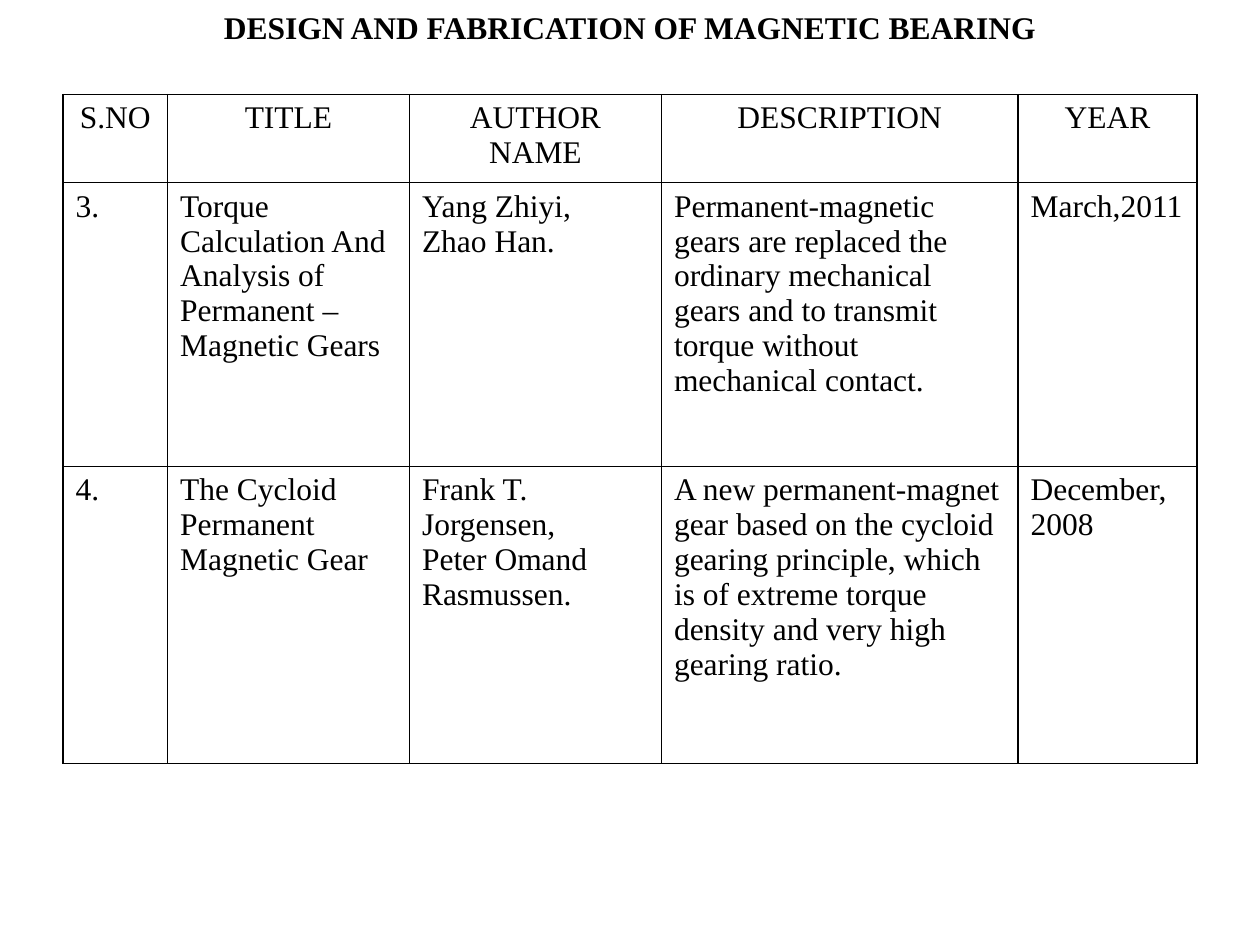
"""Build a literature table slide on magnetic bearings."""
import dataclasses
import typing

import pptx
import pptx.dml.color
import pptx.enum.text
import pptx.oxml
import pptx.oxml.ns
import pptx.util
from pptx.util import Inches

HUES = {"ink": "000000", "page": "FFFFFF"}
FONT = "Times New Roman"
SIZE = 18
ALIGN = pptx.enum.text.PP_ALIGN


@dataclasses.dataclass
class Row:
    height: float
    texts: tuple[str, ...]
    align: typing.Any = ALIGN.LEFT


WIDTHS = (0.83, 1.92, 2, 2.83, 1.42)
ROWS = (
    Row(0.7, ("S.NO", "TITLE", "AUTHOR NAME", "DESCRIPTION", "YEAR"), ALIGN.CENTER),
    Row(2.25, (
        "3.",
        "Torque Calculation And Analysis of Permanent –Magnetic Gears",
        "Yang Zhiyi,\nZhao Han. ",
        "Permanent-magnetic gears are replaced the ordinary mechanical gears "
        "and to transmit torque without mechanical contact.",
        "March,2011",
    )),
    Row(2.36, (
        "4.",
        "The Cycloid Permanent Magnetic Gear",
        "Frank T. Jorgensen,\nPeter Omand Rasmussen.",
        "A new permanent-magnet gear based on the cycloid gearing principle, "
        "which is of extreme torque density and very high gearing ratio.",
        "December, 2008",
    )),
)


def color(name: str) -> pptx.dml.color.RGBColor:
    return pptx.dml.color.RGBColor.from_string(HUES[name])


def write(frame: typing.Any, text: str, align: typing.Any, bold: bool = False) -> None:
    frame.text = text
    for para in frame.paragraphs:
        para.alignment = align
        for run in para.runs:
            run.font.name = FONT
            run.font.size = pptx.util.Pt(SIZE)
            run.font.bold = bold
            run.font.color.rgb = color("ink")


def border(cell: typing.Any) -> None:
    props = cell._tc.get_or_add_tcPr()
    for spot, side in enumerate(("lnL", "lnR", "lnT", "lnB")):
        line = pptx.oxml.parse_xml(
            f'<a:{side} {pptx.oxml.ns.nsdecls("a")} w="{pptx.util.Pt(1)}">'
            f'<a:solidFill><a:srgbClr val="{HUES["ink"]}"/></a:solidFill></a:{side}>'
        )
        props.insert(spot, line)


def add_grid(slide: typing.Any) -> None:
    high = sum(row.height for row in ROWS)
    frame = slide.shapes.add_table(
        len(ROWS), len(WIDTHS), Inches(0.5), Inches(0.75),
        Inches(sum(WIDTHS)), Inches(high),
    )
    table = frame.table
    for col, width in zip(table.columns, WIDTHS):
        col.width = Inches(width)
    for line, row in zip(table.rows, ROWS):
        line.height = Inches(row.height)
        for cell, text in zip(line.cells, row.texts):
            cell.fill.solid()
            cell.fill.fore_color.rgb = color("page")
            border(cell)
            write(cell.text_frame, text, row.align)


def add_title(slide: typing.Any) -> None:
    title = slide.shapes.title
    title.left, title.top = Inches(0), Inches(0.01)
    title.width, title.height = Inches(10), Inches(0.4)
    frame = title.text_frame
    frame.word_wrap = True
    frame.auto_size = pptx.enum.text.MSO_AUTO_SIZE.SHAPE_TO_FIT_TEXT
    frame.vertical_anchor = pptx.enum.text.MSO_ANCHOR.TOP
    write(frame, "DESIGN AND FABRICATION OF MAGNETIC BEARING", ALIGN.CENTER, True)


deck = pptx.Presentation()
deck.slide_width, deck.slide_height = Inches(10), Inches(7.5)
page = deck.slides.add_slide(deck.slide_layouts[5])
add_grid(page)
add_title(page)
deck.save("out.pptx")
